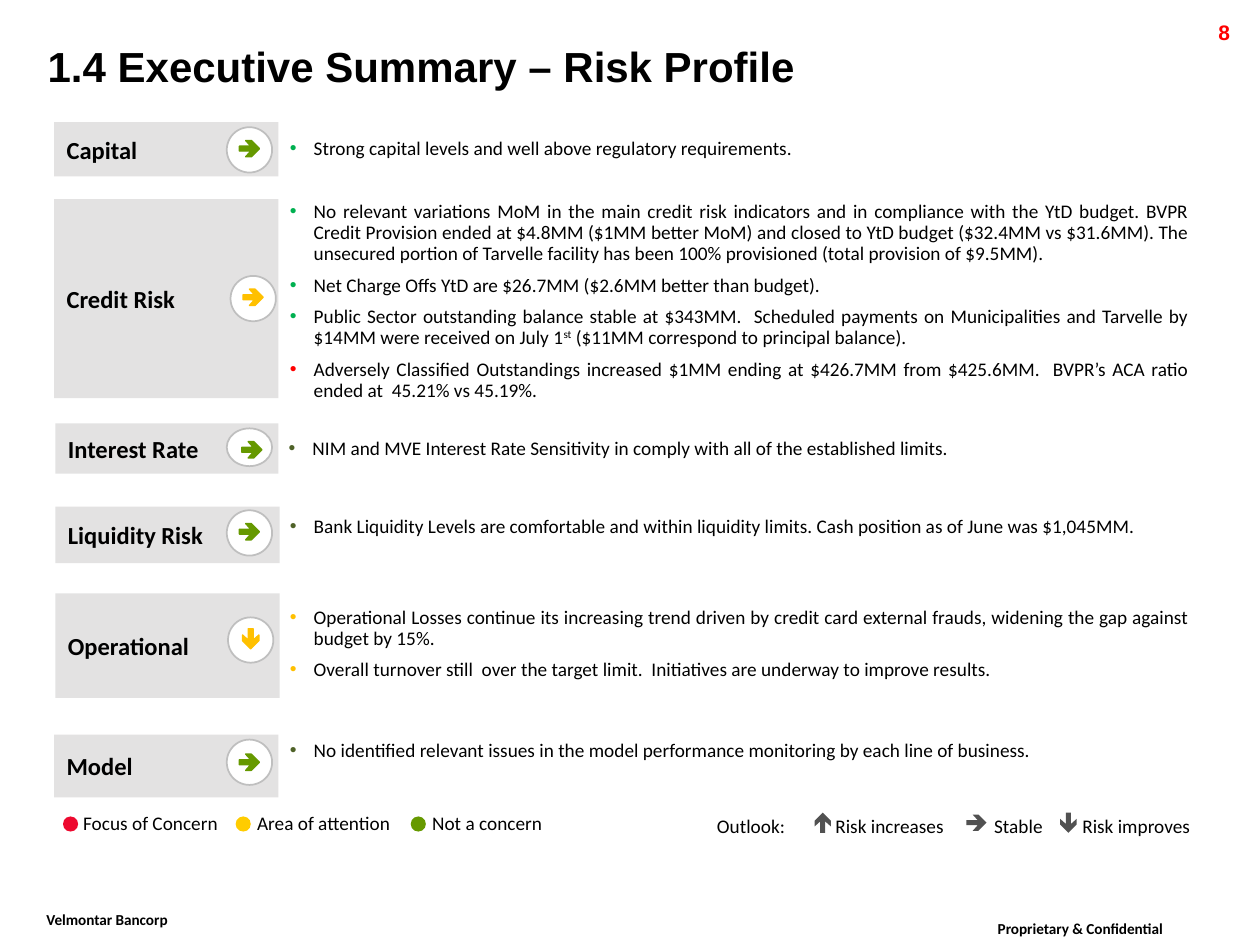
import pptx
import pptx.util
import pptx.dml.color
import pptx.enum.shapes
import pptx.enum.text
import pptx.oxml.ns
from lxml import etree

Inches, Pt = pptx.util.Inches, pptx.util.Pt
RGBColor = pptx.dml.color.RGBColor
SHAPE = pptx.enum.shapes.MSO_SHAPE
ALIGN = pptx.enum.text.PP_ALIGN
ANCHOR = pptx.enum.text.MSO_ANCHOR
qn = pptx.oxml.ns.qn

BLACK = RGBColor(0x00, 0x00, 0x00)
WHITE = RGBColor(0xFF, 0xFF, 0xFF)
RED = RGBColor(0xFF, 0x00, 0x00)
PANEL = RGBColor(0xE3, 0xE2, 0xE2)
RING = RGBColor(0xBF, 0xBF, 0xBF)
GREEN = RGBColor(0x66, 0x99, 0x00)
AMBER = RGBColor(0xFF, 0xC0, 0x00)
BULLET_GREEN = RGBColor(0x00, 0xB0, 0x50)
BULLET_OLIVE = RGBColor(0x4F, 0x62, 0x28)
KEY_RED = RGBColor(0xED, 0x09, 0x2F)
KEY_YELLOW = RGBColor(0xFF, 0xCC, 0x00)
KEY_GREY = RGBColor(0x51, 0x51, 0x51)

prs = pptx.Presentation()
prs.slide_width, prs.slide_height = Inches(10), Inches(7.5)
s = prs.slides.add_slide(prs.slide_layouts[6])


def add_text(box, text, size, font="Calibri", bold=False, color=BLACK,
             inset=None, wrap=True, baseline=None):
    """Add a one-line text box and return its paragraph."""
    tf = s.shapes.add_textbox(*[Inches(v) for v in box]).text_frame
    tf.word_wrap = wrap
    if inset is not None:
        tf.margin_left = tf.margin_right = Inches(inset)
        tf.margin_top = tf.margin_bottom = Inches(inset)
    p = tf.paragraphs[0]
    r = p.add_run()
    r.text = text
    r.font.size, r.font.name, r.font.bold = Pt(size), font, bold
    r.font.color.rgb = color
    if baseline:
        r.font._element.set("baseline", str(baseline))
    return p


def add_arrow(cx, cy, direction, color, outlined=True):
    """Draw a block arrow centred on a point."""
    half = [(0, 0.08), (0.065, 0.015), (0.065, -0.03), (0.02, 0.01), (0.02, -0.08)]
    outline = half + [(-across, along) for across, along in half[:0:-1]]
    if direction == "right":
        pts = [(cx + along, cy + across) for across, along in outline]
    else:
        sign = 1 if direction == "down" else -1
        pts = [(cx + across, cy + sign * along) for across, along in outline]
    pts = [(Inches(x), Inches(y)) for x, y in pts]
    fb = s.shapes.build_freeform(*pts[0])
    fb.add_line_segments(pts[1:], close=True)
    sp = fb.convert_to_shape()
    sp.shadow.inherit = False
    sp.fill.solid()
    sp.fill.fore_color.rgb = color
    if outlined:
        sp.line.color.rgb = color
        sp.line.width = Pt(0.75)
    else:
        sp.line.fill.background()


# Title, page number and footers
add_text((0.28, 0.27, 9.72, 0.5), "1.4 Executive Summary – Risk Profile", 24, "Arial", True)
add_text((8.91, 0.11, 0.95, 0.24), "8", 12, "Arial", True, RED).alignment = ALIGN.RIGHT
add_text((0.27, 7.15, 1.31, 0.35), "Velmontar Bancorp", 15, bold=True, wrap=False, baseline=30000)
add_text((7.82, 7.22, 2.18, 0.35), "Proprietary & Confidential", 15, bold=True, baseline=30000)

# Risk rows: label, panel (left, top, width, height), ring (left, top, height),
# arrow (x, y, direction, colour), text (left, top, height),
# bullets (bullet colour, justified, runs; every second run is superscript)
rows = [
    ("Capital", (0.43, 0.97, 1.78, 0.43), (1.8, 1.01, 0.36), (1.98, 1.18, "right", GREEN),
     (2.3, 1.1, 0.17),
     [(BULLET_GREEN, False, ["Strong capital levels and well above regulatory requirements."])]),
    ("Credit Risk", (0.43, 1.58, 1.78, 1.58), (1.83, 2.19, 0.36), (2.01, 2.36, "right", AMBER),
     (2.3, 1.6, 1.6),
     [(BULLET_GREEN, True, [
         "No relevant variations MoM in the main credit risk indicators and in compliance with "
         "the YtD budget. BVPR Credit Provision ended at $4.8MM ($1MM better MoM) and closed to "
         "YtD budget ($32.4MM vs $31.6MM). The unsecured portion of Tarvelle facility has been "
         "100% provisioned (total provision of $9.5MM)."]),
      (BULLET_GREEN, True, ["Net Charge Offs YtD are $26.7MM ($2.6MM better than budget)."]),
      (BULLET_GREEN, True, [
          "Public Sector outstanding balance stable at $343MM.  Scheduled payments on "
          "Municipalities and Tarvelle by $14MM were received on July 1",
          "st", " ($11MM correspond to principal balance)."]),
      (RED, True, [
          "Adversely Classified Outstandings increased $1MM ending at $426.7MM from $425.6MM.  "
          "BVPR’s ACA ratio ended at  45.21% vs 45.19%."])]),
    ("Interest Rate", (0.44, 3.36, 1.77, 0.4), (1.8, 3.4, 0.3), (2, 3.57, "right", GREEN),
     (2.29, 3.48, 0.17),
     [(BULLET_OLIVE, False, [
         "NIM and MVE Interest Rate Sensitivity in comply with all of the established limits."])]),
    ("Liquidity Risk", (0.44, 4.02, 1.78, 0.45), (1.8, 4.05, 0.36), (1.98, 4.22, "right", GREEN),
     (2.3, 4.1, 0.17),
     [(BULLET_OLIVE, False, [
         "Bank Liquidity Levels are comfortable and within liquidity limits. "
         "Cash position as of June was $1,045MM."])]),
    ("Operational", (0.44, 4.71, 1.78, 0.83), (1.81, 4.9, 0.36), (1.99, 5.07, "down", AMBER),
     (2.3, 4.82, 0.59),
     [(AMBER, True, [
         "Operational Losses continue its increasing trend driven by credit card external "
         "frauds, widening the gap against budget by 15%."]),
      (AMBER, False, [
          "Overall turnover still  over the target limit.  "
          "Initiatives are underway to improve results."])]),
    ("Model", (0.43, 5.83, 1.78, 0.5), (1.8, 5.87, 0.36), (1.98, 6.05, "right", GREEN),
     (2.3, 5.88, 0.17),
     [(BULLET_OLIVE, False, [
         "No identified relevant issues in the model performance monitoring by each line "
         "of business."])]),
]
for label, panel, (ring_x, ring_y, ring_h), arrow, (text_x, text_y, text_h), bullets in rows:
    # Grey panel with its label
    sp = s.shapes.add_shape(SHAPE.RECTANGLE, *[Inches(v) for v in panel])
    sp.shadow.inherit = False
    sp.fill.solid()
    sp.fill.fore_color.rgb = PANEL
    sp.line.fill.background()
    tf = sp.text_frame
    tf.vertical_anchor = ANCHOR.MIDDLE
    p = tf.paragraphs[0]
    p.alignment = ALIGN.LEFT
    r = p.add_run()
    r.text = label
    r.font.size, r.font.name, r.font.bold = Pt(14), "Calibri", True
    r.font.color.rgb = BLACK

    # Ring and outlook arrow
    sp = s.shapes.add_shape(SHAPE.OVAL, Inches(ring_x), Inches(ring_y), Inches(0.36), Inches(ring_h))
    sp.shadow.inherit = False
    sp.fill.solid()
    sp.fill.fore_color.rgb = WHITE
    sp.line.color.rgb = RING
    sp.line.width = Pt(1)
    add_arrow(*arrow)

    # Bulleted comments
    tf = s.shapes.add_textbox(Inches(text_x), Inches(text_y), Inches(7.14), Inches(text_h)).text_frame
    tf.word_wrap = True
    tf.margin_left = tf.margin_right = tf.margin_top = tf.margin_bottom = 0
    for i, (bullet_color, justified, runs) in enumerate(bullets):
        p = tf.add_paragraph() if i else tf.paragraphs[0]
        pPr = p._p.get_or_add_pPr()
        pPr.set("marL", str(Inches(0.19)))
        pPr.set("indent", str(-Inches(0.19)))
        buClr = etree.SubElement(pPr, qn("a:buClr"))
        etree.SubElement(buClr, qn("a:srgbClr")).set("val", str(bullet_color))
        etree.SubElement(pPr, qn("a:buFont")).set("typeface", "Arial")
        etree.SubElement(pPr, qn("a:buChar")).set("char", "•")
        p.alignment = ALIGN.JUSTIFY if justified else ALIGN.LEFT
        p.line_spacing = Pt(12)
        if i:
            p.space_before = Pt(3)
        p.space_after = Pt(3 if len(bullets) > 1 else 0)
        for j, text in enumerate(runs):
            r = p.add_run()
            r.text = text
            r.font.size, r.font.name = Pt(11), "Calibri"
            r.font.color.rgb = BLACK
            if j % 2:
                r.font._element.set("baseline", "30000")

# Colour key
for dot_x, text_x, width, color, text in [
        (0.5, 0.66, 1.38, KEY_RED, "Focus of Concern"),
        (1.87, 2.04, 1.09, KEY_YELLOW, "Area of attention"),
        (3.26, 3.43, 1.07, GREEN, "Not a concern")]:
    sp = s.shapes.add_shape(SHAPE.OVAL, Inches(dot_x), Inches(6.48), Inches(0.12), Inches(0.12))
    sp.shadow.inherit = False
    sp.fill.solid()
    sp.fill.fore_color.rgb = color
    sp.line.fill.background()
    add_text((text_x, 6.44, width, 0.19), text, 11, inset=0)

# Outlook key
add_text((5.69, 6.46, 0.72, 0.19), "Outlook:", 11, inset=0)
for arrow_x, direction, text_x, width, text in [
        (6.53, "up", 6.63, 1.01, "Risk increases"),
        (7.75, "right", 7.89, 0.7, "Stable"),
        (8.48, "down", 8.59, 0.87, "Risk improves")]:
    add_arrow(arrow_x, 6.53, direction, KEY_GREY, outlined=False)
    add_text((text_x, 6.46, width, 0.19), text, 11, inset=0)

prs.save("out.pptx")
